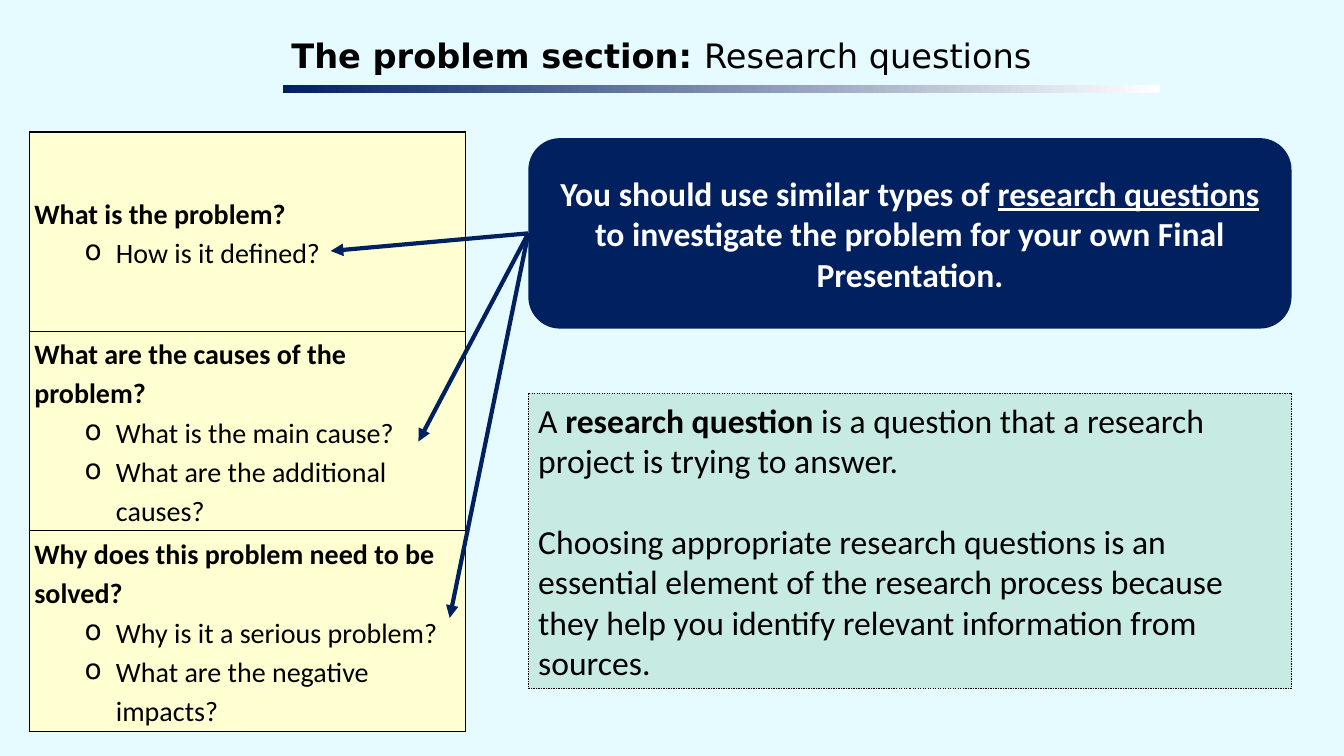
import lxml.etree
import pptx
import pptx.dml.color
import pptx.enum.dml
import pptx.enum.shapes
import pptx.enum.text
import pptx.oxml
import pptx.oxml.ns
import pptx.util

Inches = pptx.util.Inches
Pt = pptx.util.Pt
qn = pptx.oxml.ns.qn
Align = pptx.enum.text.PP_ALIGN
Anchor = pptx.enum.text.MSO_ANCHOR
AutoSize = pptx.enum.text.MSO_AUTO_SIZE
Shape = pptx.enum.shapes.MSO_SHAPE

NAVY, BLACK, WHITE = "002060", "000000", "FFFFFF"
BACKGROUND, CREAM, MINT = "E5FBFF", "FFFFD1", "C7EBE2"

QUESTIONS = [
    ("What is the problem?", ["How is it defined?"]),
    ("What are the causes of the problem?",
     ["What is the main cause?", "What are the additional causes?"]),
    ("Why does this problem need to be solved?",
     ["Why is it a serious problem?", "What are the negative impacts?"]),
]
ROW_HEIGHTS = [1.98, 1.97, 2]
ARROW_TIPS = [(3.28, 2.49), (4.15, 4.38), (4.46, 6.13)]


def color(value):
    return pptx.dml.color.RGBColor.from_string(value)


def set_values(target, values):
    for name, value in values.items():
        setattr(target, name, value)


def add_run(paragraph, text, size=24, font="Calibri", fill=BLACK, **values):
    run = paragraph.add_run()
    run.text = text
    set_values(run.font, {"size": Pt(size), "name": font, "bold": False, **values})
    run.font.color.rgb = color(fill)


def add_box(slide, preset, box, fill=None):
    shape = slide.shapes.add_shape(preset, *map(Inches, box))
    shape.shadow.inherit = False
    shape.line.fill.background()
    if fill:
        shape.fill.solid()
        shape.fill.fore_color.rgb = color(fill)
    shape.text_frame.word_wrap = True
    shape.text_frame.vertical_anchor = Anchor.MIDDLE
    return shape


def add_heading(slide, left, top, width):
    title = slide.shapes.title
    set_values(title, {"left": Inches(left + 0.04), "top": Inches(top),
                       "width": Inches(width - 0.04), "height": Inches(0.53)})
    frame = title.text_frame
    margins = {f"margin_{side}": Inches(0.04) for side in ("left", "top", "right", "bottom")}
    set_values(frame, {**margins, "vertical_anchor": Anchor.TOP, "word_wrap": True,
                       "auto_size": AutoSize.NONE})
    paragraph = frame.paragraphs[0]
    paragraph.alignment = Align.LEFT
    add_run(paragraph, "The problem section: ", font="DejaVu Sans", bold=True)
    add_run(paragraph, "Research questions", font="DejaVu Sans")

    rule = add_box(slide, Shape.RECTANGLE, (left, top + 0.53, width, 0.08))
    rule.fill.gradient()
    rule.fill.gradient_angle = 180
    for stop, value in zip(rule.fill.gradient_stops, (WHITE, NAVY)):
        stop.color.rgb = color(value)


def set_bullet(paragraph):
    properties = paragraph._p.get_or_add_pPr()
    properties.set("marL", str(Inches(0.81)))
    properties.set("indent", str(Inches(-0.31)))
    lxml.etree.SubElement(properties, qn("a:buChar")).set("char", "o")


def set_borders(cell):
    properties = cell._tc.get_or_add_tcPr()
    for index, side in enumerate(("lnL", "lnR", "lnT", "lnB")):
        properties.insert(index, pptx.oxml.parse_xml(
            f'<a:{side} {pptx.oxml.ns.nsdecls("a")} w="{Pt(1)}"><a:solidFill>'
            f'<a:srgbClr val="{BLACK}"/></a:solidFill></a:{side}>'))


def fill_question_cell(cell, question, details):
    set_values(cell, {"margin_left": Inches(0.05), "margin_right": Inches(0.05),
                      "margin_top": 0, "margin_bottom": 0,
                      "vertical_anchor": Anchor.MIDDLE})
    cell.fill.solid()
    cell.fill.fore_color.rgb = color(CREAM)
    set_borders(cell)
    paragraph = cell.text_frame.paragraphs[0]
    paragraph.line_spacing = 1.15
    add_run(paragraph, question, size=20, bold=True)
    for detail in details:
        paragraph = cell.text_frame.add_paragraph()
        set_values(paragraph, {"level": 1, "line_spacing": 1.15})
        set_bullet(paragraph)
        add_run(paragraph, detail, size=20)


def add_question_table(slide, left, top, width):
    box = map(Inches, (left, top, width, sum(ROW_HEIGHTS)))
    table = slide.shapes.add_table(len(QUESTIONS), 1, *box).table
    set_values(table, {"first_row": False, "horz_banding": False})
    for index, (question, details) in enumerate(QUESTIONS):
        table.rows[index].height = Inches(ROW_HEIGHTS[index])
        fill_question_cell(table.cell(index, 0), question, details)


def add_advice(slide, box):
    shape = add_box(slide, Shape.ROUNDED_RECTANGLE, box, NAVY)
    paragraph = shape.text_frame.paragraphs[0]
    paragraph.alignment = Align.CENTER
    for text, underline in (
            ("You should use similar types of ", False),
            ("research questions ", True),
            ("to investigate the problem for your own Final Presentation.", False)):
        add_run(paragraph, text, fill=WHITE, bold=True, underline=underline)
    return shape


def add_definition(slide, box):
    shape = add_box(slide, Shape.RECTANGLE, box, MINT)
    shape.line.color.rgb = color(BLACK)
    set_values(shape.line, {"width": Pt(0.25),
                            "dash_style": pptx.enum.dml.MSO_LINE.DASH})
    frame = shape.text_frame
    frame.auto_size = AutoSize.SHAPE_TO_FIT_TEXT
    definition, reason = frame.paragraphs[0], frame.add_paragraph()
    definition.alignment = reason.alignment = Align.LEFT
    reason.space_before = Pt(29)
    add_run(definition, "A ")
    add_run(definition, "research question ", bold=True)
    add_run(definition, "is a question that a research project is trying to answer.")
    add_run(reason, "Choosing appropriate research questions is an essential element of the "
                    "research process because they help you identify relevant information "
                    "from sources.")


def add_arrow(slide, source, tip):
    """Draw an arrow from the left side of source to the tip."""
    end = [Inches(value) for value in tip]
    arrow = slide.shapes.add_connector(
        pptx.enum.shapes.MSO_CONNECTOR.STRAIGHT,
        source.left, source.top + source.height // 2, *end)
    arrow.begin_connect(source, 1)
    arrow.line.width = Pt(3)
    arrow.line.color.rgb = color(NAVY)
    line = arrow.line._get_or_add_ln()
    lxml.etree.SubElement(line, qn("a:tailEnd")).set("type", "triangle")
    lxml.etree.SubElement(arrow._element.spPr, qn("a:effectLst"))


def main():
    presentation = pptx.Presentation()
    set_values(presentation, {"slide_width": Inches(13.33), "slide_height": Inches(7.5)})
    slide = presentation.slides.add_slide(presentation.slide_layouts[5])
    slide.background.fill.solid()
    slide.background.fill.fore_color.rgb = color(BACKGROUND)

    add_question_table(slide, 0.29, 1.31, 4.33)
    advice = add_advice(slide, (5.24, 1.37, 7.57, 1.89))
    add_heading(slide, 2.81, 0.31, 8.7)
    add_definition(slide, (5.24, 3.9, 7.57, 2.93))
    for tip in ARROW_TIPS:
        add_arrow(slide, advice, tip)
    presentation.save("out.pptx")


if __name__ == "__main__":
    main()
